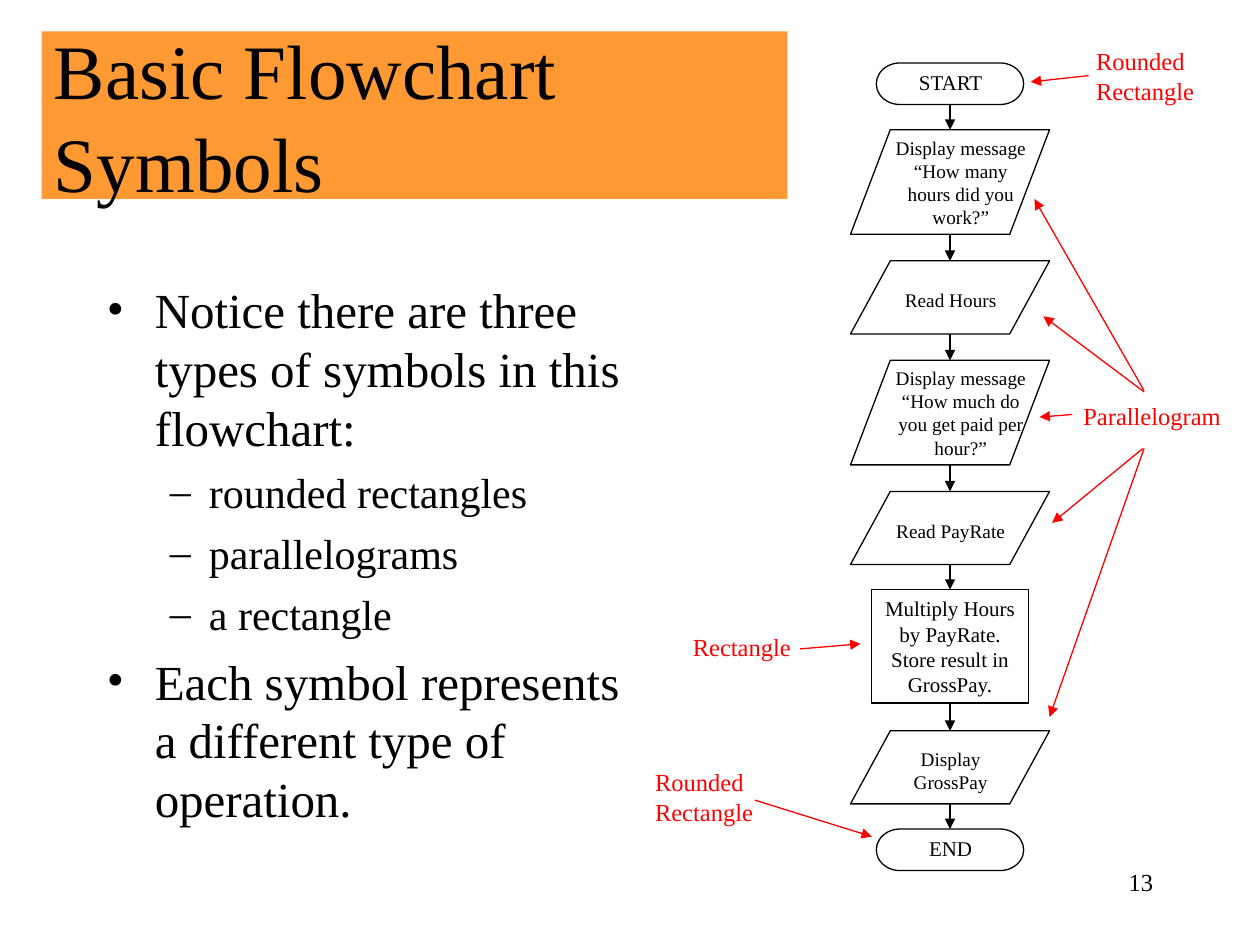
from dataclasses import dataclass

from lxml import etree
from pptx import Presentation
from pptx.dml.color import RGBColor
from pptx.enum.shapes import MSO_CONNECTOR, MSO_SHAPE
from pptx.enum.text import MSO_ANCHOR, PP_ALIGN
from pptx.oxml.ns import qn
from pptx.util import Inches, Pt


@dataclass(frozen=True)
class Theme:
    font: str = "Times New Roman"
    ink: str = "000000"
    note: str = "FF0000"
    band: str = "FF9933"
    line: float = 0.75
    title: int = 44
    main: int = 28
    sub: int = 24
    label: int = 14
    step: int = 12
    small: int = 11


THEME = Theme()
AXIS = 7.54  # centre line of the flowchart
IO = MSO_SHAPE.FLOWCHART_DATA
TERM = MSO_SHAPE.FLOWCHART_TERMINATOR
RECT = MSO_SHAPE.RECTANGLE
SIZES = {IO: 1.58, TERM: 1.17, RECT: 1.25}
ENDS = (RECT, TERM)  # symbols with sites in the middle of each side


def add_bullet(para, mark, left, hang):
    props = para._p.get_or_add_pPr()
    props.set("marL", str(Inches(left)))
    props.set("indent", str(-Inches(hang)))
    etree.SubElement(props, qn("a:buFont")).set("typeface", THEME.font)
    etree.SubElement(props, qn("a:buChar")).set("char", mark)


def write(para, text, size=THEME.label, color=THEME.ink,
          align=PP_ALIGN.LEFT, before=0):
    para.alignment = align
    para.space_before = Pt(before)
    run = para.add_run()
    run.text = text
    run.font.name = THEME.font
    run.font.size = Pt(size)
    run.font.color.rgb = RGBColor.from_string(color)


class Deck:
    def __init__(self, theme):
        self.theme = theme
        self.file = Presentation()
        self.file.slide_width = Inches(10)
        self.file.slide_height = Inches(7.5)
        self.slide = self.file.slides.add_slide(self.file.slide_layouts[6])

    def shape(self, kind, x, y, w, h, fill=None, line=None):
        shape = self.slide.shapes.add_shape(
            kind, Inches(x), Inches(y), Inches(w), Inches(h))
        shape.shadow.inherit = False
        if fill:
            shape.fill.solid()
            shape.fill.fore_color.rgb = RGBColor.from_string(fill)
        else:
            shape.fill.background()
        if line:
            shape.line.color.rgb = RGBColor.from_string(line)
            shape.line.width = Pt(self.theme.line)
        else:
            shape.line.fill.background()
        return shape

    def fill_text(self, shape, text, anchor=MSO_ANCHOR.TOP, **style):
        frame = shape.text_frame
        frame.word_wrap = True
        frame.vertical_anchor = anchor
        write(frame.paragraphs[0], text, **style)

    def box(self, x, y, w, h):
        box = self.slide.shapes.add_textbox(
            Inches(x), Inches(y), Inches(w), Inches(h))
        box.text_frame.word_wrap = True
        return box

    def text(self, text, x, y, w, h, **style):
        self.fill_text(self.box(x, y, w, h), text, **style)

    def bullets(self, items, x, y, w, h):
        frame = self.box(x, y, w, h).text_frame
        for num, (level, text) in enumerate(items):
            para = frame.add_paragraph() if num else frame.paragraphs[0]
            para.level = level
            if level:
                add_bullet(para, "–", 0.81, 0.31)
                size, gap = self.theme.sub, 6
            else:
                add_bullet(para, "•", 0.38, 0.38)
                size, gap = self.theme.main, 7
            write(para, text, size=size, before=gap if num else 0)

    def arrow(self, start, end, color):
        arrow = self.slide.shapes.add_connector(
            MSO_CONNECTOR.STRAIGHT, *map(Inches, start + end))
        arrow.line.color.rgb = RGBColor.from_string(color)
        arrow.line.width = Pt(self.theme.line)
        line = arrow.line._get_or_add_ln()
        etree.SubElement(line, qn("a:tailEnd")).set("type", "triangle")
        etree.SubElement(arrow._element.spPr, qn("a:effectLst"))
        return arrow

    def step(self, kind, top, high, text, label):
        """Draw one symbol; label is (x, y, width, height), None for inside."""
        wide = SIZES[kind]
        shape = self.shape(kind, AXIS - wide / 2, top, wide, high,
                           line=self.theme.ink)
        size = self.theme.small if kind == IO else self.theme.step
        style = dict(size=size, align=PP_ALIGN.CENTER)
        if label:
            self.text(text, *label, **style)
        else:
            self.fill_text(shape, text, **style)
        return shape


def main():
    deck = Deck(THEME)

    # Page number, title and body
    deck.text("13", 7.17, 6.83, 2.08, 0.5, align=PP_ALIGN.RIGHT)
    title = deck.shape(RECT, 0.33, 0.25, 5.92, 1.33, fill=THEME.band)
    deck.fill_text(title, "Basic Flowchart Symbols",
                   anchor=MSO_ANCHOR.MIDDLE, size=THEME.title)
    deck.bullets([
        (0, "Notice there are three types of symbols in this flowchart:"),
        (1, "rounded rectangles"),
        (1, "parallelograms"),
        (1, "a rectangle"),
        (0, "Each symbol represents a different type of operation."),
    ], 0.75, 2.17, 4.35, 4.5)

    # Flowchart symbols, top to bottom
    steps = [
        (TERM, 0.5, 0.33, "START", (7.13, 0.5, 0.83, 0.3)),
        (IO, 1.03, 0.83, "Display message “How many hours did you work?”",
         (7, 1.03, 1.25, 0.84)),
        (IO, 2.07, 0.58, "Read Hours", (6.92, 2.24, 1.25, 0.29)),
        (IO, 2.86, 0.83, "Display message “How much do you get paid per hour?”",
         (7, 2.86, 1.25, 0.84)),
        (IO, 3.9, 0.58, "Read PayRate", (6.92, 4.07, 1.25, 0.29)),
        (RECT, 4.68, 0.9,
         "Multiply Hours by PayRate. Store result in GrossPay.", None),
        (IO, 5.8, 0.58, "Display GrossPay", (6.92, 5.88, 1.25, 0.47)),
        (TERM, 6.58, 0.33, "END", (7.13, 6.58, 0.83, 0.3)),
    ]
    drawn = [deck.step(*step) for step in steps]

    # Flow arrows between neighbours
    for num in range(len(steps) - 1):
        kind, top, high = steps[num][:3]
        after, below = steps[num + 1][:2]
        flow = deck.arrow((AXIS, top + high), (AXIS, below), THEME.ink)
        if kind in ENDS:
            flow.begin_connect(drawn[num], 2)
        if after in ENDS:
            flow.end_connect(drawn[num + 1], 0)

    # Red notes and their pointers
    notes = [
        ("Rounded Rectangle", (8.6, 0.32, 1.18, 0.57),
         [((8.64, 0.6), (8.18, 0.65))]),
        ("Parallelogram", (8.5, 3.13, 1.4, 0.34),
         [((9.08, 3.1), (8.21, 1.58)), ((9.08, 3.11), (8.28, 2.51)),
          ((8.51, 3.29), (8.25, 3.31)), ((9.07, 3.56), (8.35, 4.15)),
          ((9.08, 3.56), (8.33, 5.69))]),
        ("Rectangle", (5.4, 4.97, 1.18, 0.34),
         [((6.35, 5.15), (6.83, 5.11))]),
        ("Rounded Rectangle", (5.1, 6.04, 1.18, 0.57),
         [((5.99, 6.35), (6.92, 6.64))]),
    ]
    for text, place, lines in notes:
        deck.text(text, *place, color=THEME.note)
        for start, end in lines:
            deck.arrow(start, end, THEME.note)

    deck.file.save("out.pptx")


if __name__ == "__main__":
    main()
